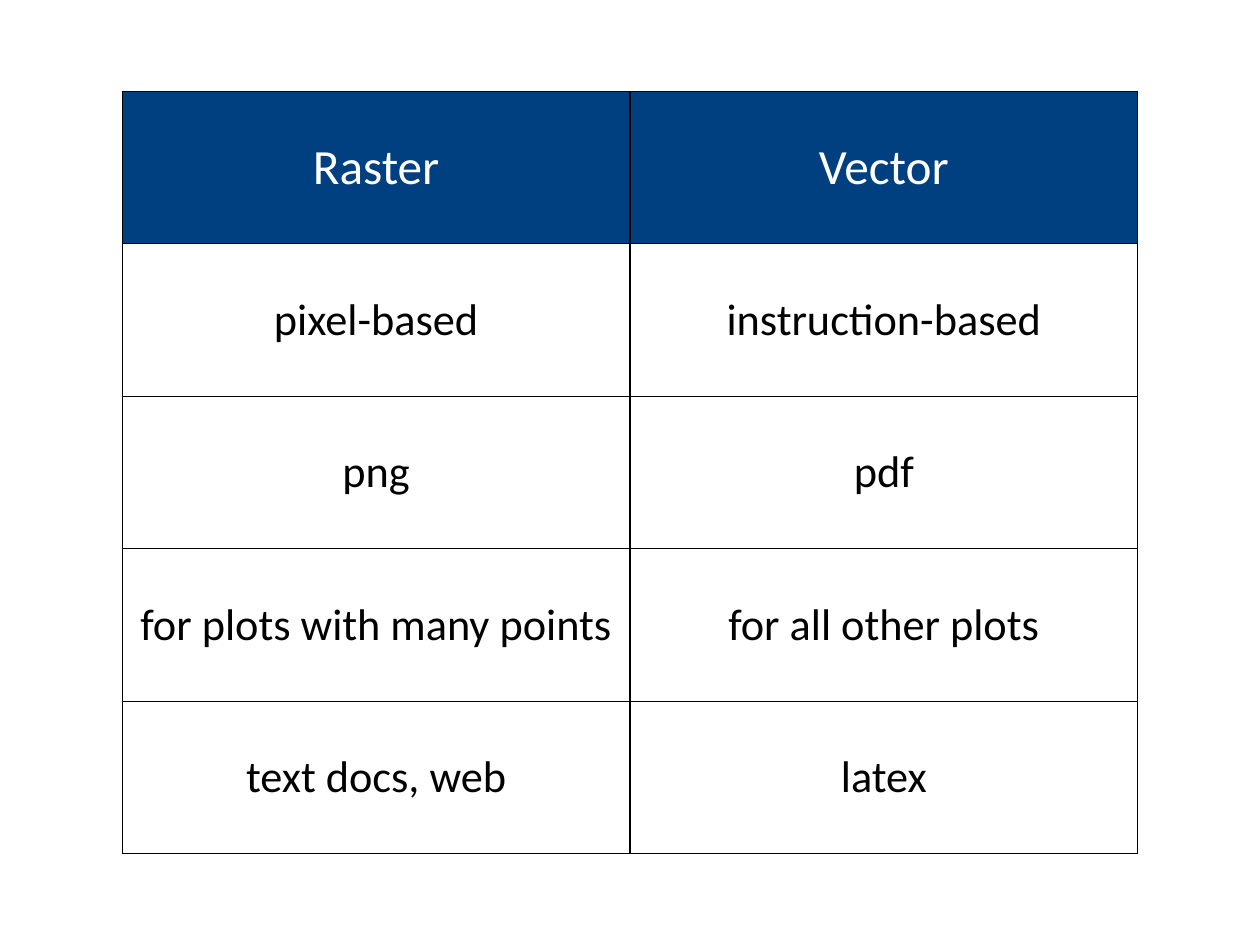
from dataclasses import dataclass

from lxml import etree
from pptx import Presentation
from pptx.dml.color import RGBColor
from pptx.enum.text import MSO_ANCHOR, PP_ALIGN
from pptx.oxml.ns import qn
from pptx.util import Emu, Pt

CENTER = PP_ALIGN.CENTER
MIDDLE = MSO_ANCHOR.MIDDLE
BLANK_LAYOUT = 6
EMU_PER_PX = 9144


@dataclass(frozen=True)
class Theme:
    """Colours, font and sizes of the slide."""
    font: str = "Calibri"
    header_size: int = 40
    body_size: int = 36
    header_fill: str = "004080"
    header_text: str = "FFFFFF"
    body_text: str = "000000"
    border: str = "000000"
    border_width: float = 0.96


@dataclass(frozen=True)
class Box:
    """A rectangle in px, at 100 px to the inch."""
    left: int
    top: int
    width: int
    height: int


THEME = Theme()
PAGE = Box(0, 0, 1422, 1066)
TABLE = Box(138, 103, 1146, 860)
FORMATS = [
    ("Raster", "Vector"),
    ("pixel-based", "instruction-based"),
    ("png", "pdf"),
    ("for plots with many points", "for all other plots"),
    ("text docs, web", "latex"),
]


def px(length):
    """Turn px into EMU."""
    return Emu(length * EMU_PER_PX)


def write_text(frame, text, *, size, color):
    """Write one centred paragraph into a text frame."""
    para = frame.paragraphs[0]
    para.alignment = CENTER
    span = para.add_run()
    span.text = text
    span.font.name = THEME.font
    span.font.size = Pt(size)
    span.font.bold = False
    span.font.color.rgb = RGBColor.from_string(color)


def draw_borders(cell):
    """Draw a solid line on all four sides of a cell."""
    properties = cell._tc.get_or_add_tcPr()
    for side in ("a:lnL", "a:lnR", "a:lnT", "a:lnB"):
        line = etree.SubElement(properties, qn(side), w=str(Pt(THEME.border_width)))
        fill = etree.SubElement(line, qn("a:solidFill"))
        etree.SubElement(fill, qn("a:srgbClr"), val=THEME.border)


def format_cell(cell, text, is_header):
    """Fill, frame and label one table cell."""
    cell.vertical_anchor = MIDDLE
    cell.margin_left = cell.margin_right = px(6)
    cell.margin_top = cell.margin_bottom = px(5)
    draw_borders(cell)
    if is_header:
        cell.fill.solid()
        cell.fill.fore_color.rgb = RGBColor.from_string(THEME.header_fill)
        write_text(cell.text_frame, text, size=THEME.header_size, color=THEME.header_text)
    else:
        cell.fill.background()
        write_text(cell.text_frame, text, size=THEME.body_size, color=THEME.body_text)


def add_comparison_table(page, box, rows):
    """Add a table of equal rows and columns that fills the box."""
    frame = page.shapes.add_table(
        len(rows), len(rows[0]), px(box.left), px(box.top), px(box.width), px(box.height)
    )
    table = frame.table
    table.first_row = False
    table.horz_banding = False
    for row_index, row in enumerate(rows):
        for column_index, text in enumerate(row):
            format_cell(table.cell(row_index, column_index), text, row_index == 0)


def main():
    """Build the slide and save the deck."""
    deck = Presentation()
    deck.slide_width = px(PAGE.width)
    deck.slide_height = px(PAGE.height)
    page = deck.slides.add_slide(deck.slide_layouts[BLANK_LAYOUT])
    add_comparison_table(page, TABLE, FORMATS)
    deck.save("out.pptx")


if __name__ == "__main__":
    main()
